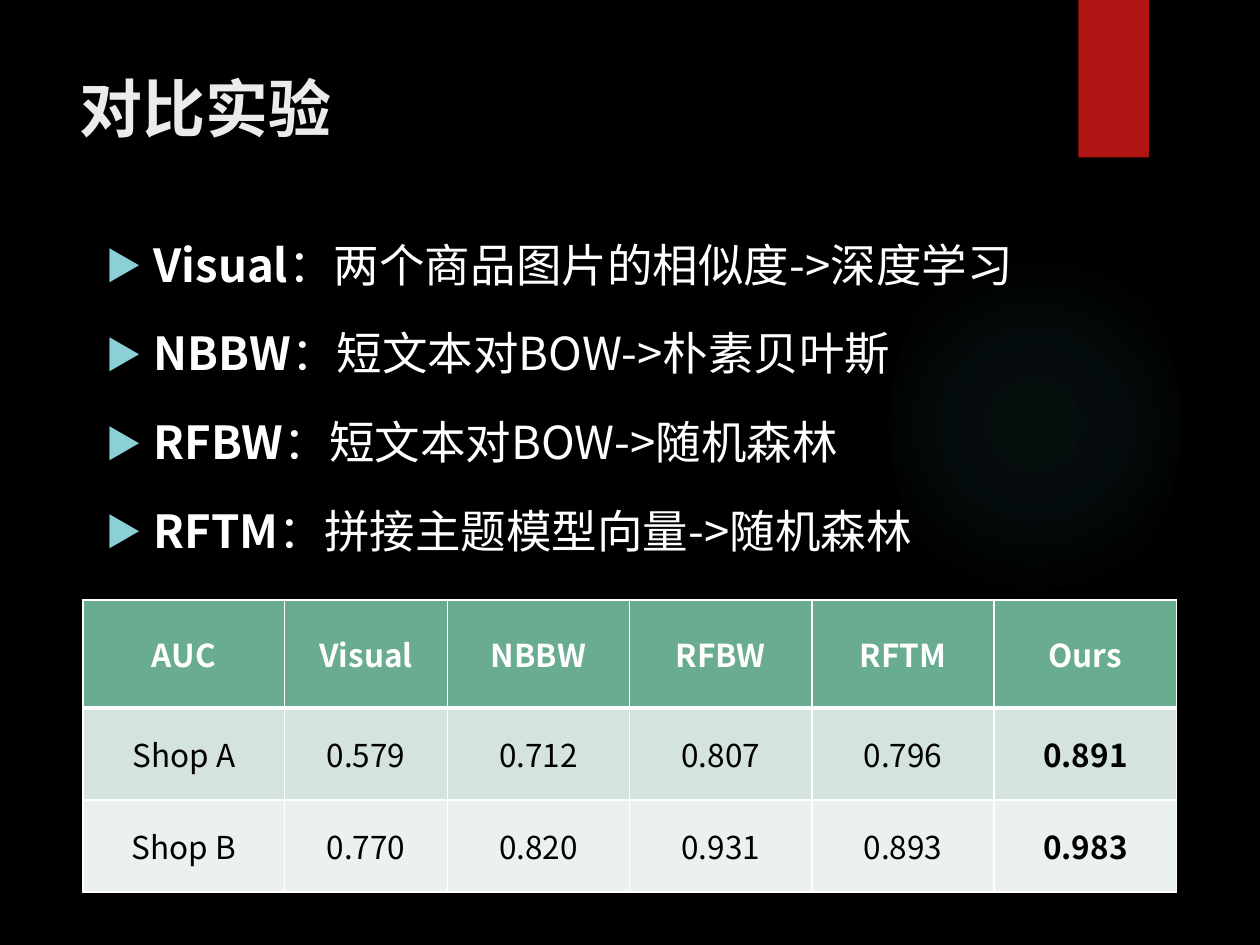
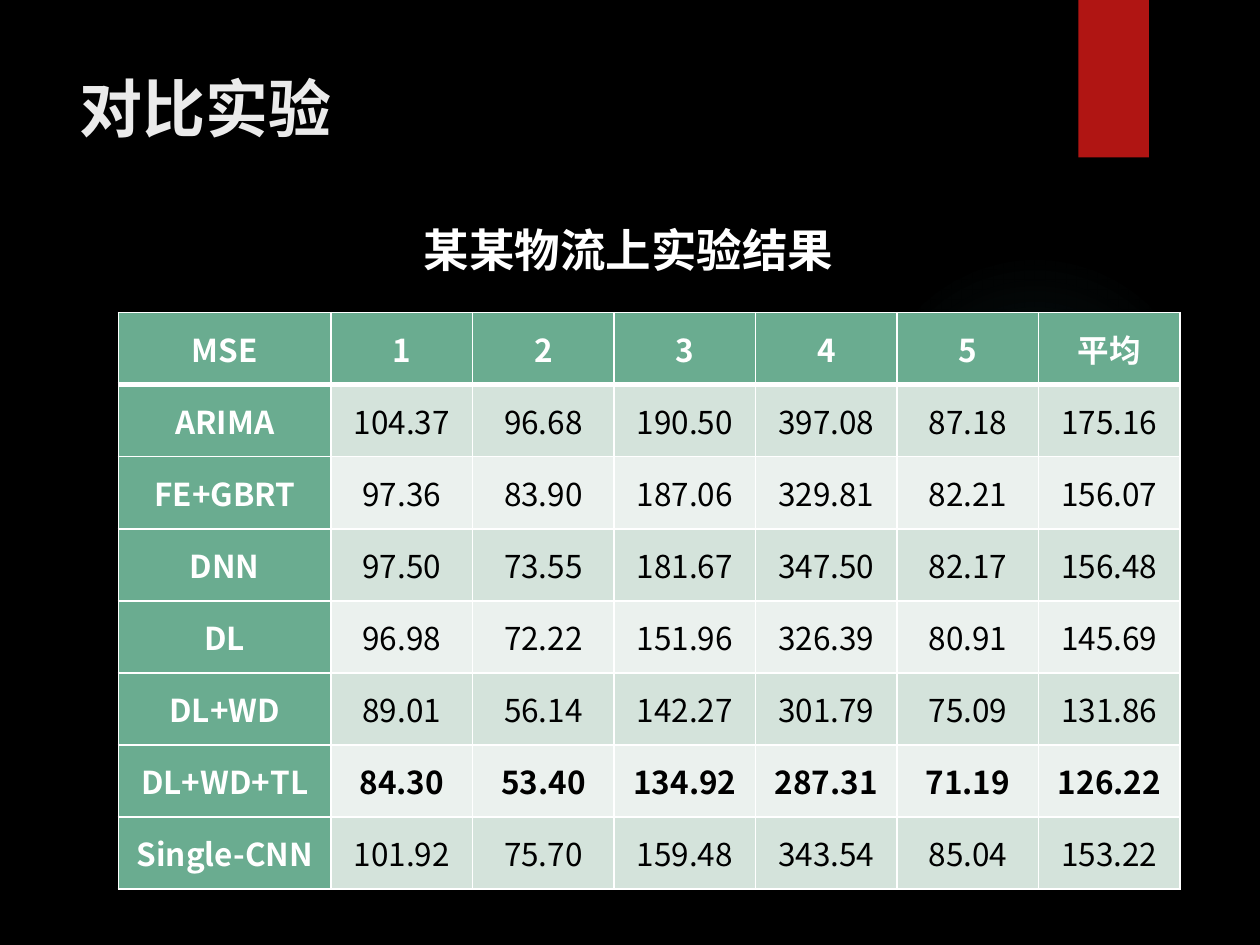
from lxml import etree
from pptx import Presentation
from pptx import util as u
from pptx.dml import color
from pptx.enum import shapes, text
from pptx.oxml import ns, parse_xml

Pt = u.Pt
FONT = "Noto Sans CJK SC"
BLACK, WHITE, TITLE = "000000", "FFFFFF", "EBEBEB"
RED, TEAL, BULLET = "B01513", "50B9C1", "8AD0D6"
GREEN, BANDS = "6AAC90", ("D4E3DB", "EBF1EE")


def rgb(value):
    """Turn a hex string into a colour."""
    return color.RGBColor.from_string(value)


def sub(parent, tag, **attrs):
    """Append a drawing element and return it."""
    return etree.SubElement(parent, ns.qn(f"a:{tag}"), attrs)


def add_run(p, words, size, ink, bold=False):
    """Add one formatted run to a paragraph."""
    r = p.add_run()
    r.text = words
    f = r.font
    f.size, f.bold, f.name = Pt(size), bold, FONT
    f.color.rgb = rgb(ink)
    sub(r._r.get_or_add_rPr(), "ea", typeface=FONT)


def add_plain(s, kind, box):
    """Add a shape with neither line nor shadow."""
    sp = s.shapes.add_shape(kind, *map(Pt, box))
    sp.line.fill.background()
    sp.shadow.inherit = False
    return sp


def add_glow(s, box):
    """Draw the soft round glow that fades to nothing."""
    sp = add_plain(s, shapes.MSO_SHAPE.OVAL, box)
    sp.fill.gradient()
    old = sp._element.spPr.find(ns.qn("a:gradFill"))
    grad = parse_xml(f'<a:gradFill {ns.nsdecls("a")} rotWithShape="1"/>')
    stops = sub(grad, "gsLst")
    for pos, alpha in ((0, 7), (36, 6), (69, 0)):
        stop = sub(stops, "gs", pos=str(pos * 1000))
        sub(sub(stop, "srgbClr", val=TEAL), "alpha", val=str(alpha * 1000))
    sub(sub(grad, "path", path="circle"), "fillToRect",
        **dict.fromkeys("ltrb", "50000"))
    old.getparent().replace(old, grad)


def add_base(prs, title):
    """Add a titled slide with the shared glow and red tab."""
    s = prs.slides.add_slide(prs.slide_layouts[5])
    add_glow(s, (508.3, 131.8, 166.3, 221.8))
    tab = add_plain(s, shapes.MSO_SHAPE.RECTANGLE, (616.3, 0, 40.3, 90))
    tab.fill.solid()
    tab.fill.fore_color.rgb = rgb(RED)
    sp = s.shapes.title
    sp.left, sp.top, sp.width, sp.height = map(Pt, (38.2, 36, 555.1, 110.2))
    tf = sp.text_frame
    tf.auto_size = text.MSO_AUTO_SIZE.NONE
    tf.vertical_anchor = text.MSO_ANCHOR.TOP
    p = tf.paragraphs[0]
    p.alignment = text.PP_ALIGN.LEFT
    add_run(p, title, 36, TITLE, True)
    return s


def add_bullet(p):
    """Give a paragraph a hanging triangle bullet."""
    pPr = p._p.get_or_add_pPr()
    indent = Pt(27.36)
    pPr.set("marL", str(indent))
    pPr.set("indent", str(-indent))
    sub(sub(pPr, "buClr"), "srgbClr", val=BULLET)
    sub(pPr, "buSzPct", val="80000")
    sub(pPr, "buFont", typeface=FONT)
    sub(pPr, "buChar", char="▶")


def add_body(s, box, lines, bullets=True):
    """Write lines of (bold, regular) text, bulleted or centred."""
    tf = s.shapes.add_textbox(*map(Pt, box)).text_frame
    tf.word_wrap = True
    tf.auto_size = text.MSO_AUTO_SIZE.TEXT_TO_FIT_SHAPE
    for i, (strong, rest) in enumerate(lines):
        p = tf.add_paragraph() if i else tf.paragraphs[0]
        p.line_spacing, p.space_before = 1.3, Pt(10)
        if bullets:
            add_bullet(p)
        else:
            p.alignment = text.PP_ALIGN.CENTER
        add_run(p, strong, 26, WHITE, True)
        if rest:
            add_run(p, rest, 26, WHITE)


def add_borders(cell, row):
    """Draw white cell borders, thick below the header row."""
    tcPr = cell._tc.get_or_add_tcPr()
    thick = {("B", 0), ("T", 1)}
    for i, side in enumerate("LRTB"):
        width = Pt(3 if (side, row) in thick else 1)
        ln = sub(tcPr, f"ln{side}", w=str(width))
        sub(sub(ln, "solidFill"), "srgbClr", val=WHITE)
        tcPr.insert(i, ln)


def add_results(s, left, top, widths, heights, rows, best, side_header=False):
    """Build a results table; best(row, col) marks the bold values."""
    frame = s.shapes.add_table(len(rows), len(widths), Pt(left), Pt(top),
                               Pt(sum(widths)), Pt(sum(heights)))
    table = frame.table
    table.first_row = table.horz_banding = False
    for column, width in zip(table.columns, widths):
        column.width = Pt(width)
    for i, (values, height) in enumerate(zip(rows, heights)):
        table.rows[i].height = Pt(height)
        for j, value in enumerate(values):
            cell = table.cell(i, j)
            head = i == 0 or (side_header and j == 0)
            cell.fill.solid()
            cell.fill.fore_color.rgb = rgb(GREEN if head else BANDS[(i - 1) % 2])
            cell.vertical_anchor = text.MSO_ANCHOR.MIDDLE
            add_borders(cell, i)
            p = cell.text_frame.paragraphs[0]
            p.alignment = text.PP_ALIGN.CENTER
            add_run(p, value, 18, WHITE if head else BLACK, head or best(i, j))


def build_auc(prs):
    """Compare methods by AUC on two shops."""
    s = add_base(prs, "对比实验")
    add_body(s, (53.3, 122.4, 599, 216.7), [
        ("Visual", "：两个商品图片的相似度->深度学习"),
        ("NBBW", "：短文本对BOW->朴素贝叶斯"),
        ("RFBW", "：短文本对BOW->随机森林"),
        ("RFTM", "：拼接主题模型向量->随机森林"),
    ])
    rows = [line.split(",") for line in (
        "AUC,Visual,NBBW,RFBW,RFTM,Ours",
        "Shop A,0.579,0.712,0.807,0.796,0.891",
        "Shop B,0.770,0.820,0.931,0.893,0.983",
    )]
    add_results(s, 47.5, 342.9, [115.2, 92.9] + [104.2] * 4,
                [61.7, 52.6, 52.6], rows, lambda i, j: j == 5)


def build_mse(prs):
    """Compare methods by MSE on logistics data."""
    s = add_base(prs, "对比实验")
    rows = [line.split(",") for line in (
        "MSE,1,2,3,4,5,平均",
        "ARIMA,104.37,96.68,190.50,397.08,87.18,175.16",
        "FE+GBRT,97.36,83.90,187.06,329.81,82.21,156.07",
        "DNN,97.50,73.55,181.67,347.50,82.17,156.48",
        "DL,96.98,72.22,151.96,326.39,80.91,145.69",
        "DL+WD,89.01,56.14,142.27,301.79,75.09,131.86",
        "DL+WD+TL,84.30,53.40,134.92,287.31,71.19,126.22",
        "Single-CNN,101.92,75.70,159.48,343.54,85.04,153.22",
    )]
    add_results(s, 67.7, 178.6, [121.5] + [80.9] * 6, [41.2] * 8, rows,
                lambda i, j: i == 6, side_header=True)
    add_body(s, (53.3, 113.8, 612, 64.8), [("某某物流上实验结果", "")], bullets=False)


def main():
    """Build and save the presentation."""
    prs = Presentation()
    prs.slide_width, prs.slide_height = Pt(720), Pt(540)
    fill = prs.slide_master.background.fill
    fill.solid()
    fill.fore_color.rgb = rgb(BLACK)
    build_auc(prs)
    build_mse(prs)
    prs.save("out.pptx")


main()
